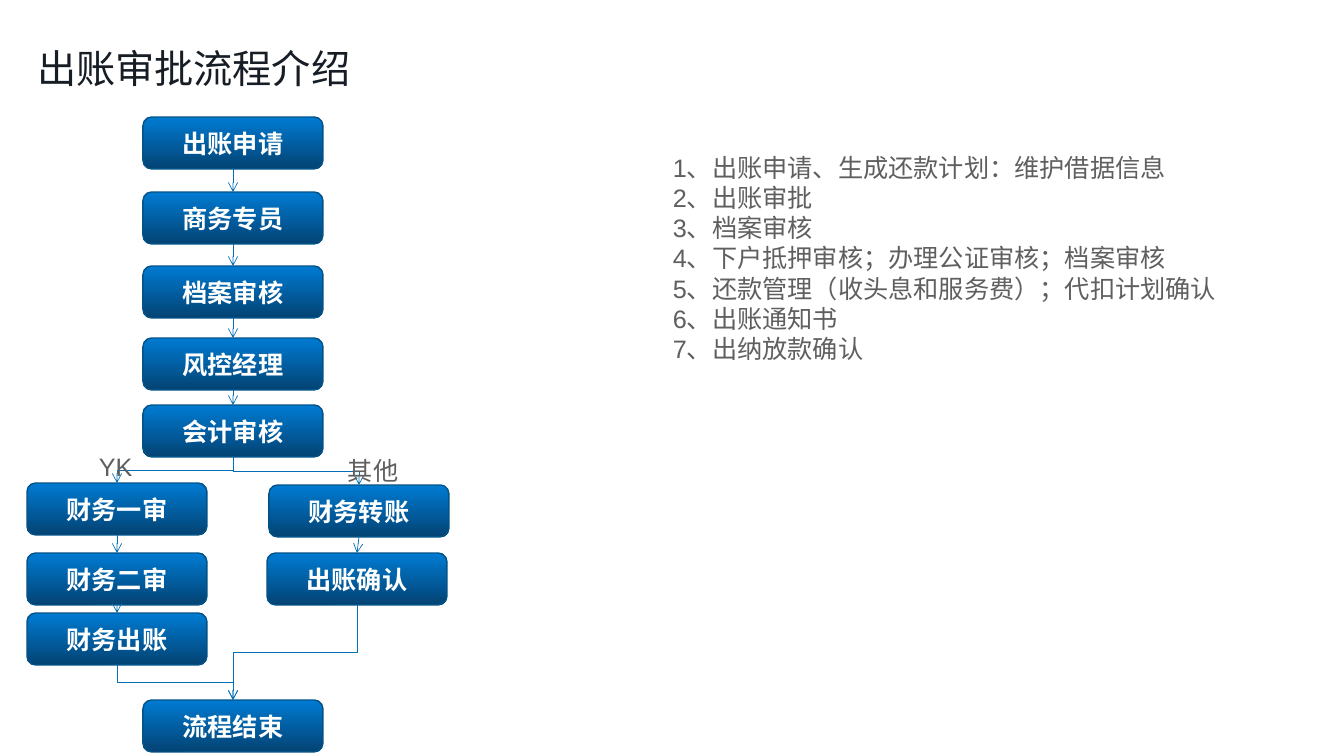
"""Build the slide that explains the disbursement approval flow."""
from lxml.etree import SubElement
from pptx import Presentation
from pptx.dml.color import RGBColor
from pptx.enum.shapes import MSO_CONNECTOR, MSO_SHAPE
from pptx.enum.text import MSO_ANCHOR, MSO_AUTO_SIZE, PP_ALIGN
from pptx.oxml.ns import qn
from pptx.util import Pt

PX = 12192000 / 1344
INK = RGBColor(0x17, 0x1D, 0x25)
GREY = RGBColor(0x5F, 0x5F, 0x5F)
WHITE = RGBColor(0xFF, 0xFF, 0xFF)
STEP_TOP = RGBColor(0x00, 0x7B, 0xD3)
STEP_BOTTOM = RGBColor(0x03, 0x43, 0x73)
STEP_EDGE = RGBColor(0x03, 0x52, 0x87)
ARROW = RGBColor(0x04, 0x6F, 0xB6)
STEP_WIDTH, STEP_HEIGHT = 180, 52
TOP_SITE, BOTTOM_SITE = 0, 2


def px(*lengths):
    return [round(length * PX) for length in lengths]


def write(frame, lines, size, color, bold=False, align=PP_ALIGN.LEFT):
    frame.text = "\n".join(lines)
    for paragraph in frame.paragraphs:
        paragraph.alignment = align
        paragraph.font.name = "Arial"
        paragraph.font.size = Pt(size)
        paragraph.font.bold = bold
        paragraph.font.color.rgb = color


presentation = Presentation()
presentation.slide_width, presentation.slide_height = px(1344, 756)
slide = presentation.slides.add_slide(presentation.slide_layouts[5])

title = slide.shapes.title
title.left, title.top, title.width, title.height = px(27, 39, 422, 58)
title.text_frame.auto_size = MSO_AUTO_SIZE.NONE
title.text_frame.vertical_anchor = MSO_ANCHOR.MIDDLE
write(title.text_frame, ["出账审批流程介绍"], 28, INK)

step_places = {
    "出账申请": (143, 117),
    "商务专员": (143, 192),
    "档案审核": (143, 266),
    "风控经理": (143, 338),
    "会计审核": (143, 405),
    "财务一审": (27, 483),
    "财务二审": (27, 553),
    "财务出账": (27, 613),
    "财务转账": (269, 485),
    "出账确认": (267, 553),
    "流程结束": (143, 700),
}
steps = {}
for label, (left, top) in step_places.items():
    step = slide.shapes.add_shape(
        MSO_SHAPE.FLOWCHART_ALTERNATE_PROCESS, *px(left, top, STEP_WIDTH, STEP_HEIGHT)
    )
    step.shadow.inherit = False
    step.fill.gradient()
    step.fill.gradient_angle = 270
    for stop, color in zip(step.fill.gradient_stops, (STEP_TOP, STEP_BOTTOM)):
        stop.color.rgb = color
    step.line.color.rgb = STEP_EDGE
    step.line.width = Pt(1)
    step.text_frame.vertical_anchor = MSO_ANCHOR.MIDDLE
    write(step.text_frame, [label], 18, WHITE, True, PP_ALIGN.CENTER)
    steps[label] = step

routes = [
    ("出账申请", "商务专员", "档案审核", "风控经理", "会计审核"),
    ("会计审核", "财务一审", "财务二审", "财务出账", "流程结束"),
    ("会计审核", "财务转账", "出账确认", "流程结束"),
]
for route in routes:
    for source, target in zip(route, route[1:]):
        run = step_places[target][0] - step_places[source][0]
        bent = abs(run) > STEP_WIDTH / 4
        kind = MSO_CONNECTOR.ELBOW if bent else MSO_CONNECTOR.STRAIGHT
        arrow = slide.shapes.add_connector(kind, 0, 0, 0, 0)
        arrow.begin_connect(steps[source], BOTTOM_SITE)
        arrow.end_connect(steps[target], TOP_SITE)
        properties = arrow._element.spPr
        if bent:
            across, down = arrow.width, arrow.height
            arrow.left += (across - down) // 2
            arrow.top += (down - across) // 2
            arrow.width, arrow.height = down, across
            frame = properties.find(qn("a:xfrm"))
            frame.set("rot", "16200000" if run > 0 else "5400000")
            frame.set("flipH", "1" if run > 0 else "0")
        arrow.line.color.rgb = ARROW
        arrow.line.width = Pt(0.5)
        SubElement(properties.find(qn("a:ln")), qn("a:tailEnd"), type="arrow")
        SubElement(properties, qn("a:effectLst"))

notes = [
    "1、出账申请、生成还款计划：维护借据信息",
    "2、出账审批",
    "3、档案审核",
    "4、下户抵押审核；办理公证审核；档案审核",
    "5、还款管理（收头息和服务费）；代扣计划确认",
    "6、出账通知书",
    "7、出纳放款确认",
]
texts = [
    (["YK"], (89, 446, 54, 40), False),
    (["其他"], (338, 450, 72, 40), False),
    (notes, (663, 147, 569, 254), True),
]
for lines, place, wraps in texts:
    caption = slide.shapes.add_textbox(*px(*place))
    caption.text_frame.word_wrap = wraps
    write(caption.text_frame, lines, 18, GREY)

presentation.save("out.pptx")
